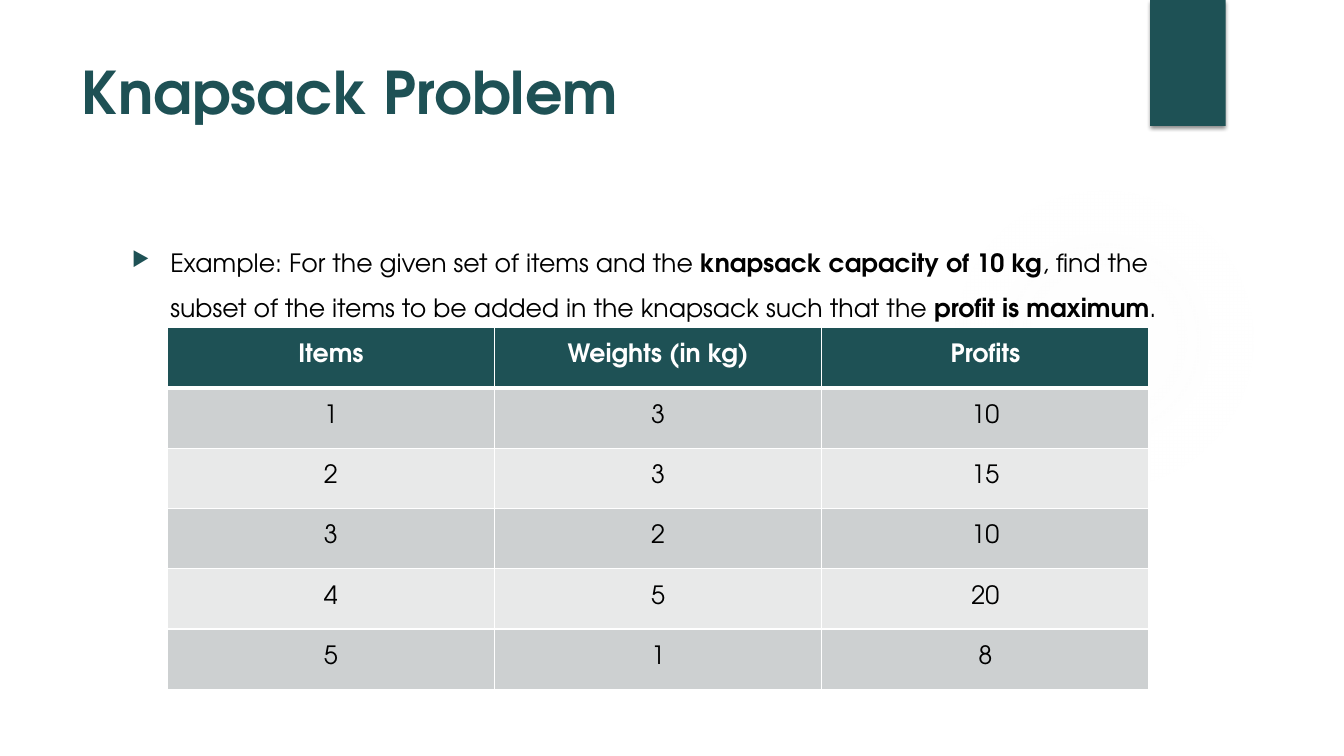
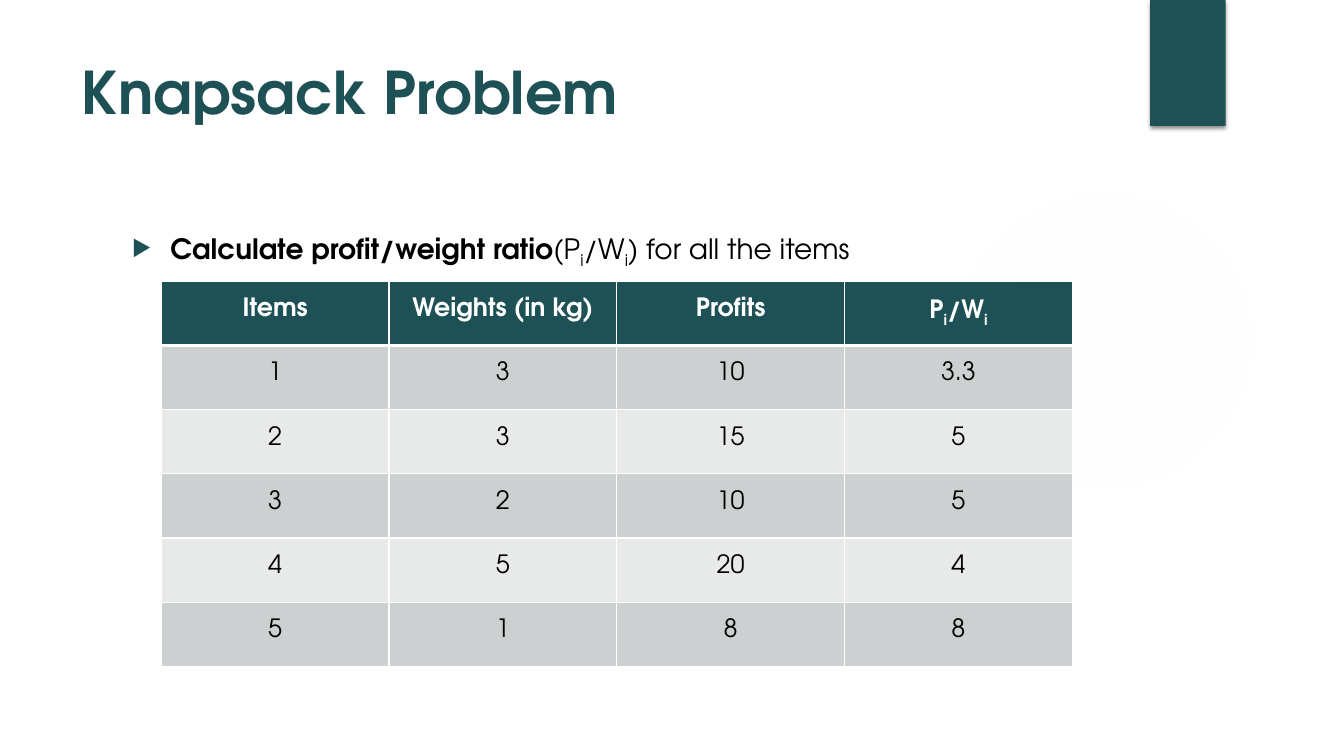
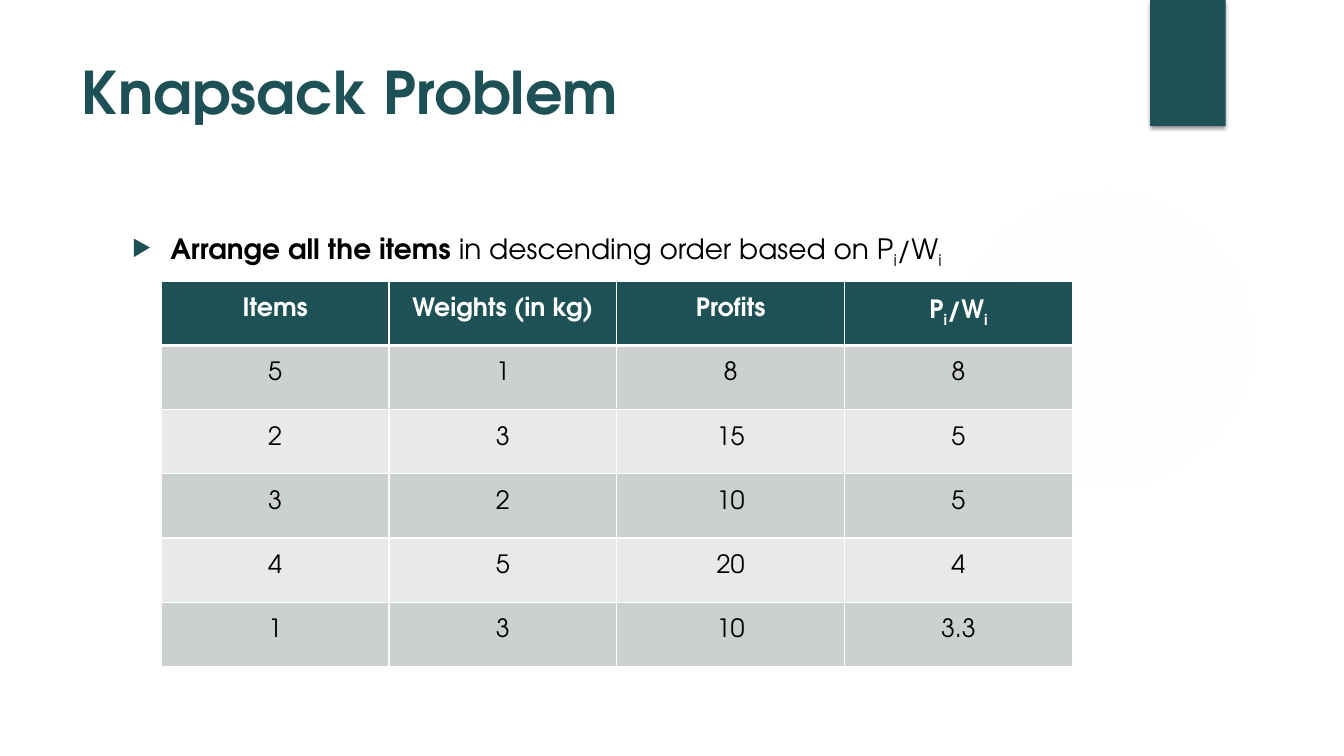
import lxml.etree
import pptx
import pptx.dml.color
import pptx.enum.shapes
import pptx.enum.text
import pptx.oxml
import pptx.oxml.ns
import pptx.util

COLOURS = {
    "teal": "1E5155",
    "text": "000000",
    "white": "FFFFFF",
    "glow": "F3F3F3",
    "odd row": "CDD0D1",
    "even row": "E8E9E9",
}
FONT = "TeX Gyre Adventor"
NAMESPACE = pptx.oxml.ns.nsdecls("a")


def colour(name):
    return pptx.dml.color.RGBColor.from_string(COLOURS[name])


def add_xml(parent, xml):
    """Append a drawing element whose outer tag still lacks its namespace."""
    tag_end = min(xml.index(mark) for mark in (" ", ">") if mark in xml)
    element = pptx.oxml.parse_xml(f"{xml[:tag_end]} {NAMESPACE}{xml[tag_end:]}")
    parent.append(element)


class Deck:
    """Holds the shared style and the current slide; places are percentages."""

    def __init__(self):
        self.presentation = pptx.Presentation()
        self.presentation.slide_width = pptx.util.Inches(13.33)
        self.presentation.slide_height = pptx.util.Inches(7.5)
        self.slide = None

    def box(self, left, top, width, height):
        across = self.presentation.slide_width / 100
        down = self.presentation.slide_height / 100
        return (round(left * across), round(top * down),
                round(width * across), round(height * down))

    def add_slide(self, title):
        self.slide = self.presentation.slides.add_slide(self.presentation.slide_layouts[6])
        self.add_glow()
        self.add_bookmark()
        paragraph = self.add_text(5.33, 6.67, 77.18, 20.4)
        self.add_runs(paragraph, [(title, "bold")], 42, "teal")

    # Decoration
    def add_glow(self):
        shape = self.slide.shapes.add_shape(
            pptx.enum.shapes.MSO_SHAPE.OVAL, *self.box(70.58, 24.4, 23.1, 41.07))
        shape.shadow.inherit = False
        shape.line.fill.background()
        shape.fill.gradient()
        gradient = shape._element.spPr.find(pptx.oxml.ns.qn("a:gradFill"))
        for child in list(gradient):
            gradient.remove(child)
        stops = "".join(
            f'<a:gs pos="{position * 1000}"><a:srgbClr val="{COLOURS["glow"]}">'
            f'<a:alpha val="{opacity * 1000}"/></a:srgbClr></a:gs>'
            for position, opacity in ((0, 7), (36, 6), (69, 0)))
        add_xml(gradient, f"<a:gsLst>{stops}</a:gsLst>")
        add_xml(gradient, '<a:path path="circle"><a:fillToRect l="50000" t="50000" '
                          'r="50000" b="50000"/></a:path>')

    def add_bookmark(self):
        shape = self.slide.shapes.add_shape(
            pptx.enum.shapes.MSO_SHAPE.RECTANGLE, *self.box(85.58, 0, 5.62, 16.67))
        shape.shadow.inherit = False
        shape.fill.solid()
        shape.fill.fore_color.rgb = colour("teal")
        shape.line.fill.background()
        effects = shape._element.spPr.find(pptx.oxml.ns.qn("a:effectLst"))
        add_xml(effects, f'<a:outerShdw blurRad="{pptx.util.Pt(3)}" dist="{pptx.util.Pt(2)}" '
                         'dir="5400000" algn="ctr" rotWithShape="0">'
                         '<a:srgbClr val="000000"><a:alpha val="45000"/></a:srgbClr>'
                         '</a:outerShdw>')

    # Text
    def add_text(self, *place):
        text_frame = self.slide.shapes.add_textbox(*self.box(*place)).text_frame
        text_frame.word_wrap = True
        return text_frame.paragraphs[0]

    def add_runs(self, paragraph, pieces, size, ink, all_bold=False):
        for text, style in pieces:
            run = paragraph.add_run()
            run.text = text
            run.font.name = FONT
            run.font.size = pptx.util.Pt(size)
            run.font.bold = all_bold or style == "bold"
            run.font.color.rgb = colour(ink)
            if style == "sub":
                run._r.get_or_add_rPr().set("baseline", "-25000")

    def add_bullet(self, place, pieces, size, line_spacing=1.0):
        paragraph = self.add_text(*place)
        paragraph.line_spacing = line_spacing
        paragraph.space_before = pptx.util.Pt(10)
        properties = paragraph._p.get_or_add_pPr()
        indent = pptx.util.Inches(0.38)
        properties.set("marL", str(indent))
        properties.set("indent", str(-indent))
        add_xml(properties, f'<a:buClr><a:srgbClr val="{COLOURS["teal"]}"/></a:buClr>')
        add_xml(properties, '<a:buSzPct val="80000"/>')
        add_xml(properties, '<a:buChar char="\u25b6"/>')
        self.add_runs(paragraph, pieces, size, "text")

    # Table
    def add_table(self, place, headings, records):
        rows = [headings] + [[[(str(value), "")] for value in record] for record in records]
        left, top, width, height = self.box(*place)
        table = self.slide.shapes.add_table(
            len(rows), len(headings), left, top, width, height).table
        for column in table.columns:
            column.width = round(width / len(headings))
        for row_index, row in enumerate(rows):
            table.rows[row_index].height = round(height / len(rows))
            for column_index, pieces in enumerate(row):
                self.fill_cell(table.cell(row_index, column_index), row_index, pieces)

    def fill_cell(self, cell, row_index, pieces):
        header = row_index == 0
        fill = "teal" if header else ("even row", "odd row")[row_index % 2]
        properties = cell._tc.get_or_add_tcPr()
        borders = {"L": 1, "R": 1, "T": 3 if row_index == 1 else 1, "B": 3 if header else 1}
        for side, points in borders.items():
            add_xml(properties, f'<a:ln{side} w="{pptx.util.Pt(points)}"><a:solidFill>'
                                f'<a:srgbClr val="{COLOURS["white"]}"/></a:solidFill></a:ln{side}>')
        cell.fill.solid()
        cell.fill.fore_color.rgb = colour(fill)
        paragraph = cell.text_frame.paragraphs[0]
        paragraph.alignment = pptx.enum.text.PP_ALIGN.CENTER
        paragraph.line_spacing = 1.5
        self.add_runs(paragraph, pieces, 18, "white" if header else "text", header)


# Content shared by the slides
TITLE = "Knapsack Problem"
RATIO = [("P", ""), ("i", "sub"), ("/W", ""), ("i", "sub")]
HEADINGS = [[("Items", "")], [("Weights (in kg)", "")], [("Profits", "")]]
ITEMS = [(1, 3, 10), (2, 3, 15), (3, 2, 10), (4, 5, 20), (5, 1, 8)]
RATED_ITEMS = [(item, weight, profit, f"{round(profit / weight, 1):g}")
               for item, weight, profit in ITEMS]
RANKED_ITEMS = sorted(RATED_ITEMS, key=lambda record: -float(record[3]))

deck = Deck()

# Slide 1: the example
deck.add_slide(TITLE)
deck.add_bullet((9.08, 30, 82.5, 56.53), [
    ("Example: For the given set of items and the ", ""),
    ("knapsack capacity of 10 kg", "bold"),
    (", find the subset of the items to be added in the knapsack such that the ", ""),
    ("profit is maximum", "bold"),
    (".", ""),
], 18, 1.5)
deck.add_table((12.45, 43.33, 73.05, 47.87), HEADINGS, ITEMS)

# Slides 2 and 3: the ratios, then the items ranked by ratio
STEPS = [
    ([("Calculate profit/weight ratio", "bold"), ("(", ""), *RATIO,
      (")\u00a0for all the items", "")], RATED_ITEMS),
    ([("Arrange all the items ", "bold"), ("in descending order based on ", ""), *RATIO],
     RANKED_ITEMS),
]
for sentence, records in STEPS:
    deck.add_slide(TITLE)
    deck.add_bullet((9.08, 30, 73.35, 61.2), sentence, 20)
    deck.add_table((12, 37.2, 67.8, 50.93), HEADINGS + [RATIO], records)

deck.presentation.save("out.pptx")
